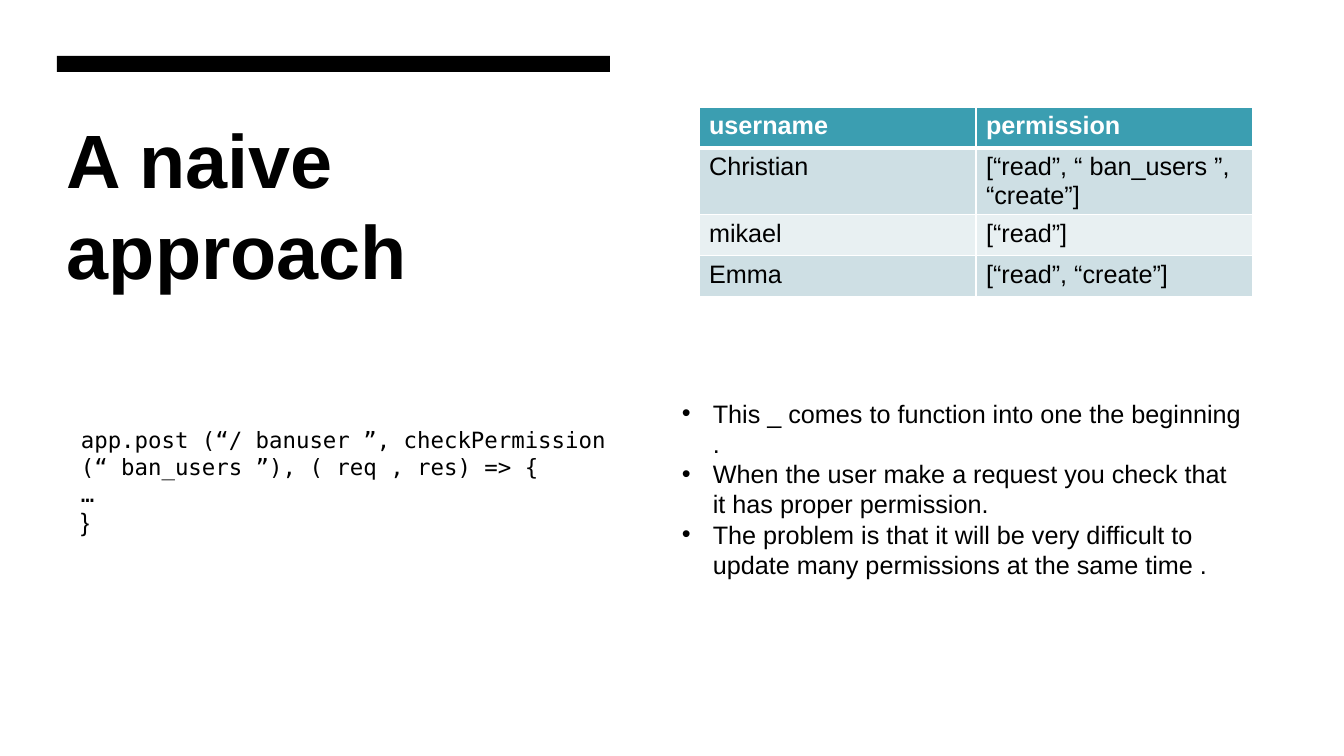
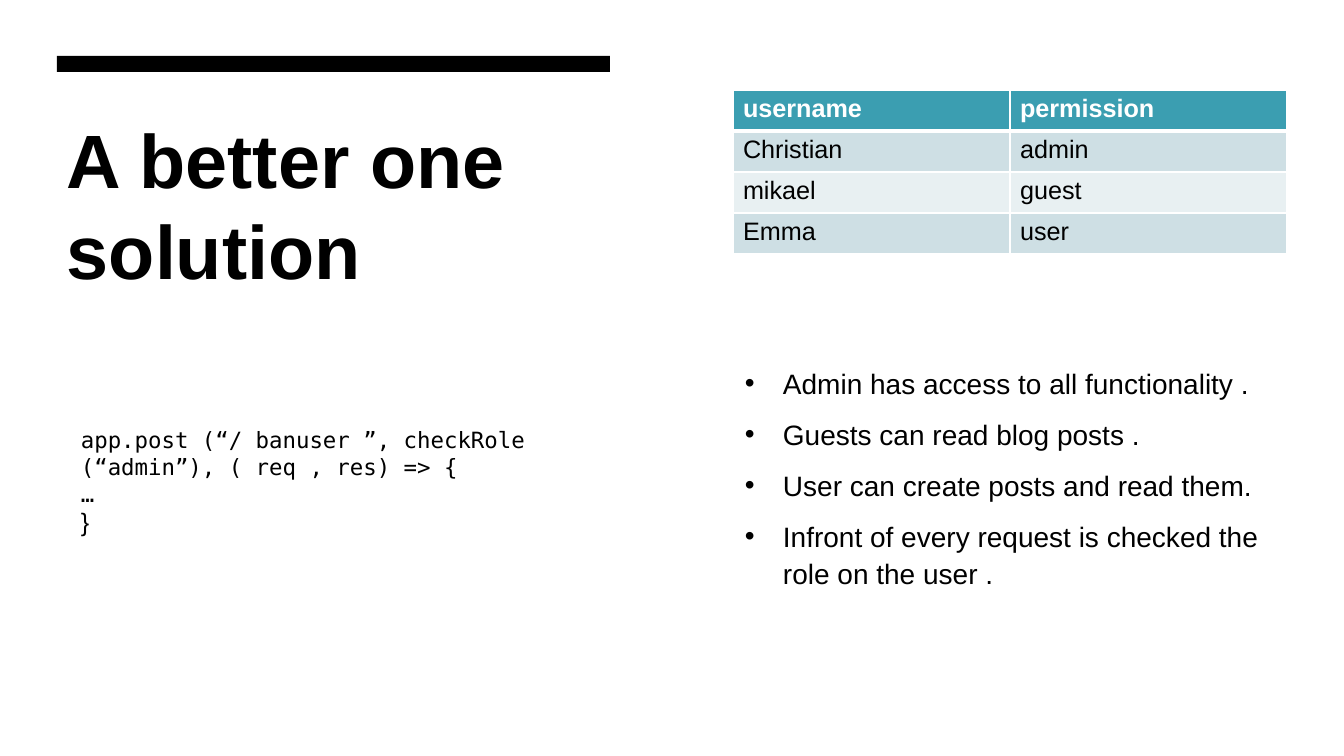
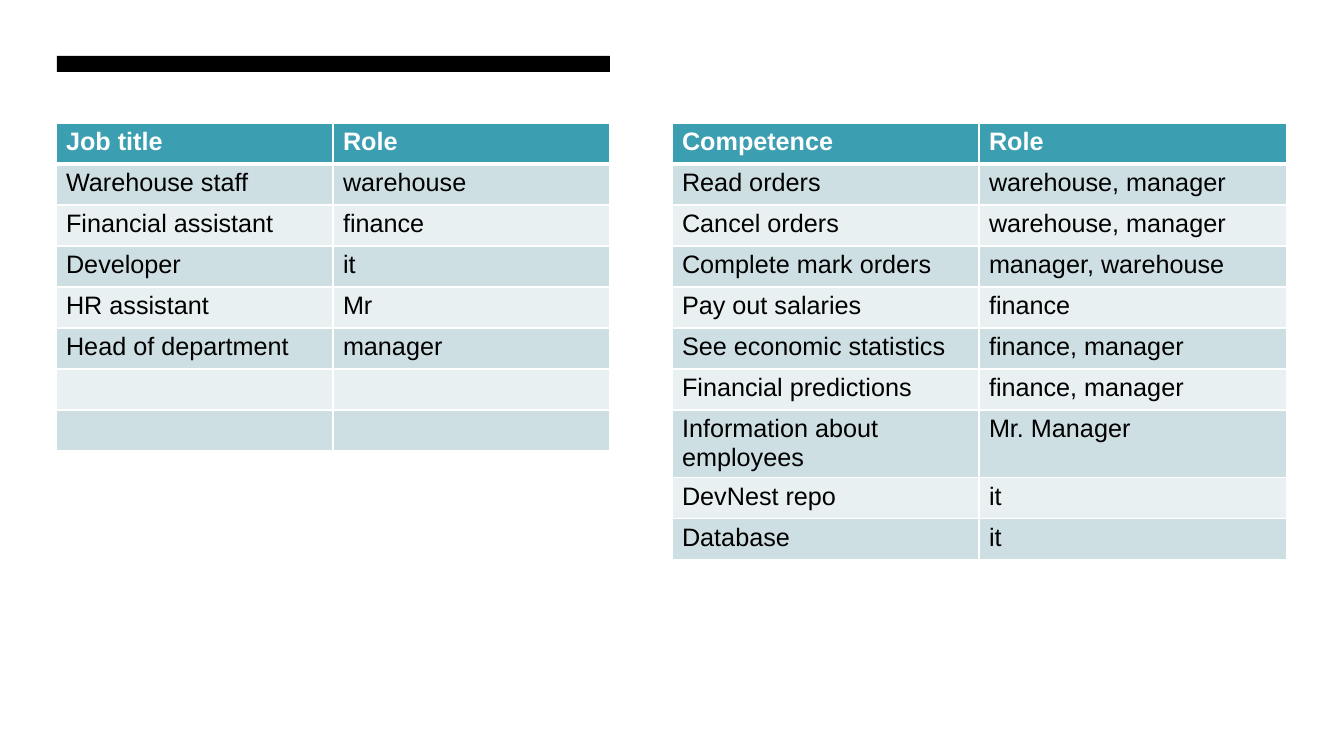
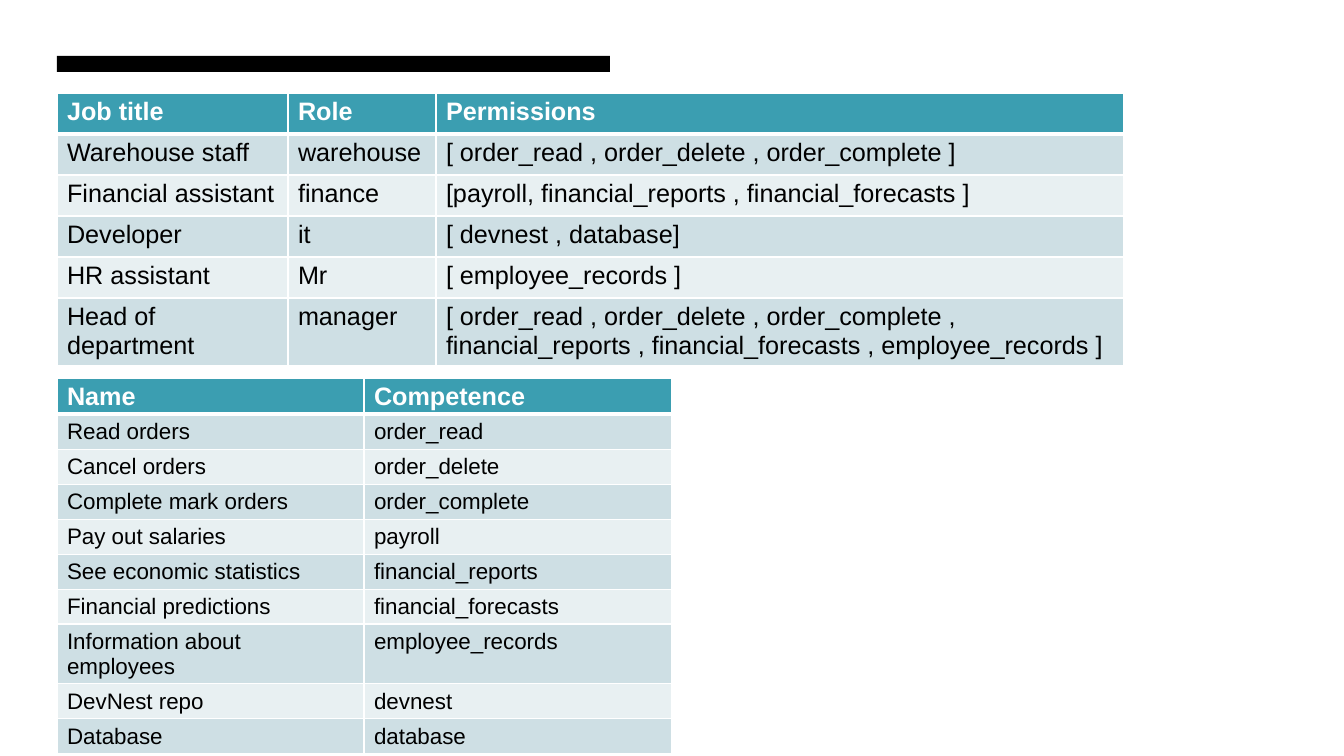
"""Build four slides on permission and role based access."""
from lxml import etree
from pptx import Presentation
from pptx.dml.color import RGBColor
from pptx.enum.shapes import MSO_SHAPE
from pptx.enum.text import MSO_AUTO_SIZE
from pptx.oxml.ns import qn
from pptx.util import Emu, Pt

RECT = MSO_SHAPE.RECTANGLE
GROW = MSO_AUTO_SIZE.SHAPE_TO_FIT_TEXT
FIXED = MSO_AUTO_SIZE.NONE
WIDE, HIGH = 1344, 756
SCALE = 12192000 / WIDE
SANS, MONO = "Arial", "DejaVu Sans Mono"
COLORS = {
    "ink": "000000",
    "paper": "FFFFFF",
    "head": "3B9EB1",
    "dark": "CEDFE4",
    "light": "E8F0F2",
}
LEFT, HALF, ROW = 57, 553, 41


def px(num):
    return Emu(round(num * SCALE))


def color(name):
    return RGBColor.from_string(COLORS[name])


class Deck:
    def __init__(self):
        self.prs = Presentation()
        self.prs.slide_width = px(WIDE)
        self.prs.slide_height = px(HIGH)
        self.slide = None

    def start(self, title=None):
        self.slide = self.prs.slides.add_slide(self.prs.slide_layouts[6])
        bar = self.slide.shapes.add_shape(RECT, *map(px, (LEFT, 56, HALF, 16)))
        bar.shadow.inherit = False
        bar.fill.solid()
        bar.fill.fore_color.rgb = color("ink")
        bar.line.fill.background()
        if title:
            self.text([title], (LEFT, 108, HALF, 537), 54, bold=True)

    def style(self, para, size, font=SANS, bold=False, tint="ink"):
        for run in para.runs:
            run.font.size = Pt(size)
            run.font.name = font
            run.font.bold = bold
            run.font.color.rgb = color(tint)

    def text(self, lines, box, size, font=SANS, bold=False, lead=1.0,
             above=0, indent=0, fit=FIXED):
        frame = self.slide.shapes.add_textbox(*map(px, box)).text_frame
        frame.word_wrap = True
        frame.auto_size = fit
        frame.text = "\n".join(lines)
        for para in frame.paragraphs:
            para.line_spacing = lead
            para.space_before = Pt(above)
            self.style(para, size, font, bold)
            if indent:
                self.bullet(para, indent)
        return frame

    def bullet(self, para, indent):
        props = para._p.get_or_add_pPr()
        props.set("marL", str(px(indent)))
        props.set("indent", str(px(-indent)))
        etree.SubElement(props, qn("a:buFont"), typeface=SANS)
        etree.SubElement(props, qn("a:buChar"), char="•")

    def code(self, call):
        lines = [f"app.post (“/ banuser ”, {call}, ( req , res) => {{", "…", "}"]
        frame = self.text(lines, (71, 421, HALF, 149), 16, MONO, fit=GROW)
        self.style(frame.paragraphs[-1], 18)

    def border(self, cell, row):
        props = cell._tc.get_or_add_tcPr()
        for side in "LRTB":
            thick = (row, side) in ((0, "B"), (1, "T"))
            line = etree.SubElement(props, qn(f"a:ln{side}"),
                                    w=str(Pt(3 if thick else 1)))
            fill = etree.SubElement(line, qn("a:solidFill"))
            etree.SubElement(fill, qn("a:srgbClr"), val=COLORS["paper"])

    def table(self, left, top, cols, rows, high=ROW, size=18, foot=5):
        area = (left, top, sum(cols), high * len(rows))
        grid = self.slide.shapes.add_table(len(rows), len(cols), *map(px, area)).table
        grid.horz_banding = False
        for col, width in zip(grid.columns, cols):
            col.width = px(width)
        for r, row in enumerate(rows):
            grid.rows[r].height = px(high)
            band = "dark" if r % 2 else "light"
            for c, value in enumerate(row):
                cell = grid.cell(r, c)
                self.border(cell, r)
                cell.margin_bottom = px(foot)
                cell.fill.solid()
                cell.fill.fore_color.rgb = color(band if r else "head")
                cell.text_frame.text = value
                para = cell.text_frame.paragraphs[0]
                if r:
                    self.style(para, size)
                else:
                    self.style(para, 18, bold=True, tint="paper")


USERS = ("Christian", "mikael", "Emma")
STAFF = [
    ("Warehouse staff", "warehouse", "[ order_read , order_delete , order_complete ]"),
    ("Financial assistant", "finance",
     "[payroll, financial_reports , financial_forecasts ]"),
    ("Developer", "it", "[ devnest , database]"),
    ("HR assistant", "Mr", "[ employee_records ]"),
    ("Head of department", "manager",
     "[ order_read , order_delete , order_complete , "
     "financial_reports , financial_forecasts , employee_records ]"),
]
TASKS = [
    ("Read orders", "warehouse, manager", "order_read"),
    ("Cancel orders", "warehouse, manager", "order_delete"),
    ("Complete mark orders", "manager, warehouse", "order_complete"),
    ("Pay out salaries", "finance", "payroll"),
    ("See economic statistics", "finance, manager", "financial_reports"),
    ("Financial predictions", "finance, manager", "financial_forecasts"),
    ("Information about employees", "Mr. Manager", "employee_records"),
    ("DevNest repo", "it", "devnest"),
    ("Database", "it", "database"),
]


def users(rights):
    return [("username", "permission"), *zip(USERS, rights)]


def main():
    deck = Deck()
    pair, broad = (277, 277), (307, 308)

    deck.start("A naive approach")
    deck.table(699, 107, pair, users(
        ("[“read”, “ ban_users ”, “create”]", "[“read”]", "[“read”, “create”]")))
    deck.text([
        "This _ comes to function into one the beginning .",
        "When the user make a request you check that it has proper permission.",
        "The problem is that it will be very difficult to update many "
        "permissions at the same time .",
    ], (672, 393, 581, 194), 18, indent=31, fit=GROW)
    deck.code("checkPermission (“ ban_users ”)")

    deck.start("A better one solution")
    deck.text([
        "Admin has access to all functionality .",
        "Guests can read blog posts .",
        "User can create posts and read them.",
        "Infront of every request is checked the role on the user .",
    ], (735, 358, HALF, 285), 20, lead=1.1, above=10, indent=38)
    deck.table(733, 90, pair, users(("admin", "guest", "user")))
    deck.code("checkRole (“admin”)")

    deck.start()
    jobs = [(job, role) for job, role, _ in STAFF]
    deck.table(56, 123, pair, [("Job title", "Role"), *jobs, ("", ""), ("", "")])
    roles = [(task, role) for task, role, _ in TASKS]
    deck.table(672, 123, broad, [("Competence", "Role"), *roles], foot=2)

    deck.start()
    heads = ("Job title", "Role", "Permissions")
    deck.table(LEFT, 93, (231, 148, 688), [heads, *STAFF], foot=2)
    keys = [(task, key) for task, _, key in TASKS]
    deck.table(LEFT, 378, broad, [("Name", "Competence"), *keys], 35, 16, foot=1)

    deck.prs.save("out.pptx")


if __name__ == "__main__":
    main()
